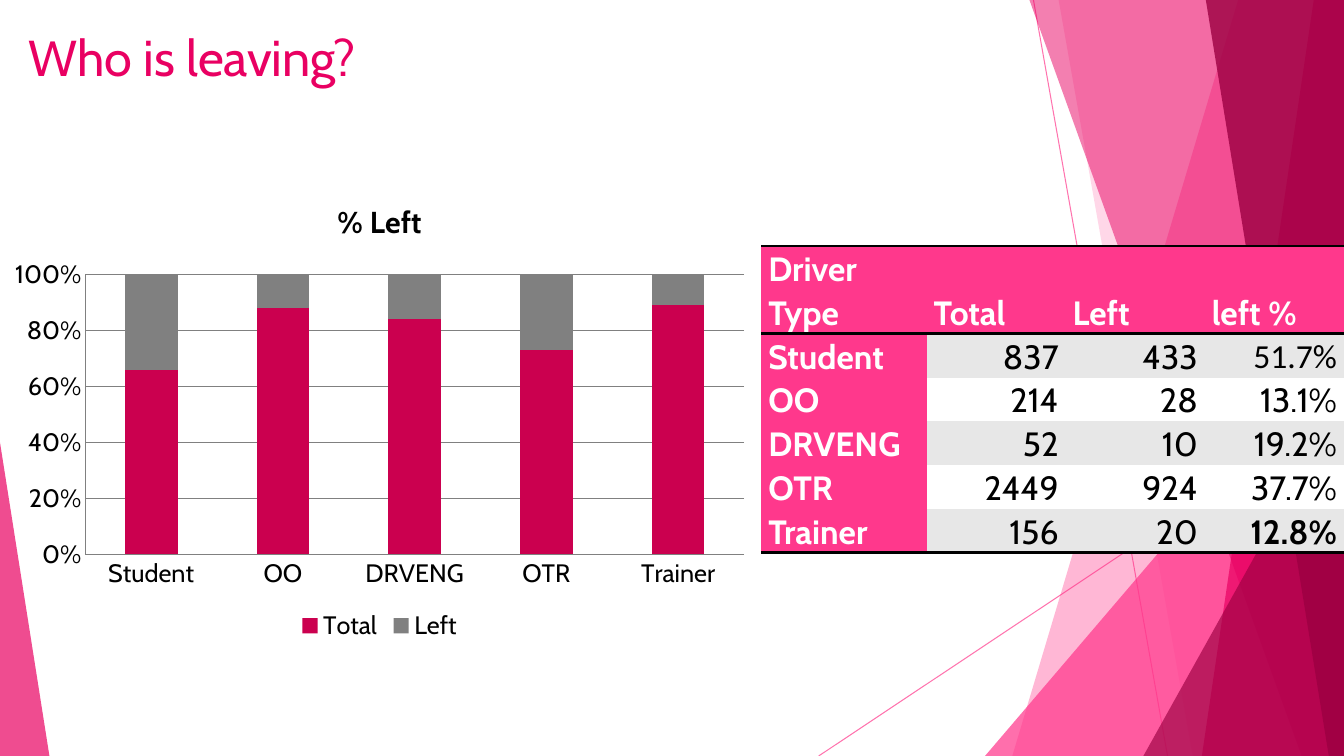
from dataclasses import dataclass

from lxml import etree
from pptx import Presentation
from pptx.chart.data import CategoryChartData
from pptx.dml.color import RGBColor
from pptx.enum import chart as ch, shapes, text
from pptx.oxml.ns import qn
from pptx.util import Inches, Pt


@dataclass(frozen=True)
class Theme:
    pink: str = "FF388C"
    magenta: str = "E90062"
    wine: str = "9C0042"
    bar: str = "CB004F"
    grey: str = "808080"
    band: str = "E7E7E7"
    white: str = "FFFFFF"
    black: str = "000000"
    font: str = "Cabin"
    number_font: str = "Calibri"
    title: float = 36
    table: float = 24
    chart_title: float = 21.6
    chart: float = 18


THEME = Theme()
SLIDE_W, SLIDE_H = 13.33, 7.5
DRIVERS = [
    ("Student", "837", "433", "51.7%"),
    ("OO", "214", "28", "13.1%"),
    ("DRVENG", "52", "10", "19.2%"),
    ("OTR", "2449", "924", "37.7%"),
    ("Trainer", "156", "20", "12.8%"),
]
HEADINGS = ("Driver Type", "Total", "Left", "left %")
SHARES = {"Total": (66, 88, 84, 73, 89), "Left": (34, 12, 16, 27, 11)}


def rgb(color):
    return RGBColor.from_string(color)


def set_font(font, size, color, bold=False, name=THEME.font):
    font.name, font.size, font.bold = name, Pt(size), bold
    font.color.rgb = rgb(color)


def set_alpha(part, percent):
    """Make the colour of a shape's fill or a connector's line translucent."""
    color = next(part._element.spPr.iter(qn("a:srgbClr")))
    etree.SubElement(color, qn("a:alpha")).set("val", str(percent * 1000))


def paint(facet, color, alpha):
    facet.shadow.inherit = False
    facet.fill.solid()
    facet.fill.fore_color.rgb = rgb(color)
    facet.line.fill.background()
    set_alpha(facet, alpha)


def add_ray(slide, start, end):
    ray = slide.shapes.add_connector(
        shapes.MSO_CONNECTOR.STRAIGHT, *map(Inches, start + end))
    ray.line.color.rgb = rgb(THEME.pink)
    ray.line.width = Pt(0.75)
    set_alpha(ray, 70)
    etree.SubElement(ray._element.spPr, qn("a:effectLst"))


def add_wedge(slide, left, top, width, height, apex, color, alpha):
    """Add a triangle whose apex lies at the given share of its width."""
    wedge = slide.shapes.add_shape(
        shapes.MSO_SHAPE.ISOSCELES_TRIANGLE,
        *map(Inches, (left, top, width, height)))
    wedge.adjustments[0] = apex
    paint(wedge, color, alpha)


def add_pane(slide, top_x, bottom_x, color, alpha):
    """Fill the area between a slanted edge and the right edge of the slide."""
    corners = [(top_x, 0), (SLIDE_W, 0), (SLIDE_W, SLIDE_H), (bottom_x, SLIDE_H)]
    corners = [(Inches(x), Inches(y)) for x, y in corners]
    outline = slide.shapes.build_freeform(*corners[0])
    outline.add_line_segments(corners[1:], close=True)
    paint(outline.convert_to_shape(), color, alpha)


def add_facets(slide):
    add_ray(slide, (10.25, 0), (11.58, SLIDE_H))
    add_ray(slide, (SLIDE_W, 4.03), (8.12, SLIDE_H))
    add_pane(slide, 12.28, 10.04, THEME.pink, 36)
    add_pane(slide, 10.5, 11.83, THEME.pink, 20)
    add_wedge(slide, 9.77, 3.33, 3.56, 4.17, 1, THEME.pink, 72)
    add_pane(slide, 10.21, 12.91, THEME.magenta, 50)
    add_pane(slide, 13.03, 11.92, THEME.magenta, 70)
    add_pane(slide, 11.96, 13.18, THEME.wine, 80)
    add_wedge(slide, 11.34, 3.93, 1.99, 3.57, 1, THEME.wine, 66)
    add_wedge(slide, 0, 4.39, 0.49, 3.11, 0, THEME.magenta, 70)


def add_title(slide, left, top, width, height):
    title = slide.shapes.title
    title.left, title.top, title.width, title.height = map(
        Inches, (left, top, width, height))
    title.text_frame.vertical_anchor = text.MSO_ANCHOR.TOP
    heading = title.text_frame.paragraphs[0]
    heading.alignment = text.PP_ALIGN.LEFT
    run = heading.add_run()
    run.text = "Who is leaving?"
    set_font(run.font, THEME.title, THEME.magenta)


def add_borders(cell, ruled):
    """Rule the named sides (T, B) in black and leave the others bare."""
    props = cell._tc.get_or_add_tcPr()
    for position, side in enumerate("LRTB"):
        edge = etree.Element(qn(f"a:ln{side}"))
        props.insert(position, edge)
        if side in ruled:
            edge.set("w", str(Pt(2)))
            fill = etree.SubElement(edge, qn("a:solidFill"))
            etree.SubElement(fill, qn("a:srgbClr")).set("val", THEME.black)
        else:
            edge.set("w", "0")
            etree.SubElement(edge, qn("a:noFill"))


def fill_cell(cell, words, fill, color, bold, align, font):
    cell.fill.solid()
    cell.fill.fore_color.rgb = rgb(fill)
    cell.vertical_anchor = text.MSO_ANCHOR.BOTTOM
    cell.margin_left = cell.margin_right = Inches(0.07)
    cell.margin_top = cell.margin_bottom = 0
    line = cell.text_frame.paragraphs[0]
    line.alignment, line.line_spacing, line.space_after = align, 1.07, Pt(8)
    run = line.add_run()
    run.text = words
    set_font(run.font, THEME.table, color, bold, font)


def add_driver_table(slide, left, top, width, height):
    rows = [HEADINGS, *DRIVERS]
    table = slide.shapes.add_table(
        len(rows), len(HEADINGS), *map(Inches, (left, top, width, height))).table
    type_w, head_h = 1.64, 0.87
    for c, column in enumerate(table.columns):
        column.width = Inches((width - type_w) / 3 if c else type_w)
    for r, row in enumerate(table.rows):
        row.height = Inches((height - head_h) / len(DRIVERS) if r else head_h)
    for r, row in enumerate(rows):
        ruled = "TB" if r == 0 else "B" if r == len(DRIVERS) else ""
        for c, words in enumerate(row):
            cell = table.cell(r, c)
            if r == 0 or c == 0:
                fill_cell(cell, words, THEME.pink, THEME.white, True,
                          text.PP_ALIGN.LEFT, THEME.font)
            else:
                fill_cell(cell, words, THEME.band if r % 2 else THEME.white,
                          THEME.black, words == "12.8%", text.PP_ALIGN.RIGHT,
                          THEME.number_font if words == "51.7%" else THEME.font)
            add_borders(cell, ruled)


def add_share_chart(slide, left, top, width, height):
    shares = CategoryChartData()
    shares.categories = [driver[0] for driver in DRIVERS]
    for name, values in SHARES.items():
        shares.add_series(name, values)
    chart = slide.shapes.add_chart(
        ch.XL_CHART_TYPE.COLUMN_STACKED_100,
        *map(Inches, (left, top, width, height)), shares).chart
    set_font(chart.font, THEME.chart, THEME.black)

    chart.has_title = True
    caption = chart.chart_title.text_frame.paragraphs[0].add_run()
    caption.text = "% Left"
    set_font(caption.font, THEME.chart_title, THEME.black, True)
    chart.has_legend = True
    chart.legend.position = ch.XL_LEGEND_POSITION.BOTTOM
    chart.legend.include_in_layout = False

    plot = chart.plots[0]
    plot.gap_width, plot.overlap, plot.vary_by_categories = 150, 100, False
    for series, color in zip(plot.series, (THEME.bar, THEME.grey)):
        series.format.fill.solid()
        series.format.fill.fore_color.rgb = rgb(color)
    for axis in (chart.category_axis, chart.value_axis):
        axis.major_tick_mark = axis.minor_tick_mark = ch.XL_TICK_MARK.NONE
        axis.format.line.color.rgb = rgb(THEME.grey)
    percent = chart.value_axis
    percent.major_gridlines.format.line.color.rgb = rgb(THEME.grey)
    percent.maximum_scale, percent.major_unit = 1, 0.2
    percent.tick_labels.number_format = "0%"
    percent.tick_labels.number_format_is_linked = False


def main():
    deck = Presentation()
    deck.slide_width, deck.slide_height = Inches(SLIDE_W), Inches(SLIDE_H)
    slide = deck.slides.add_slide(deck.slide_layouts[5])
    add_facets(slide)
    add_title(slide, 0.18, 0.21, 9.4, 1.44)
    add_driver_table(slide, 7.55, 2.44, 5.78, 3.03)
    add_share_chart(slide, 0, 1.79, 7.53, 4.62)
    deck.save("out.pptx")


if __name__ == "__main__":
    main()
